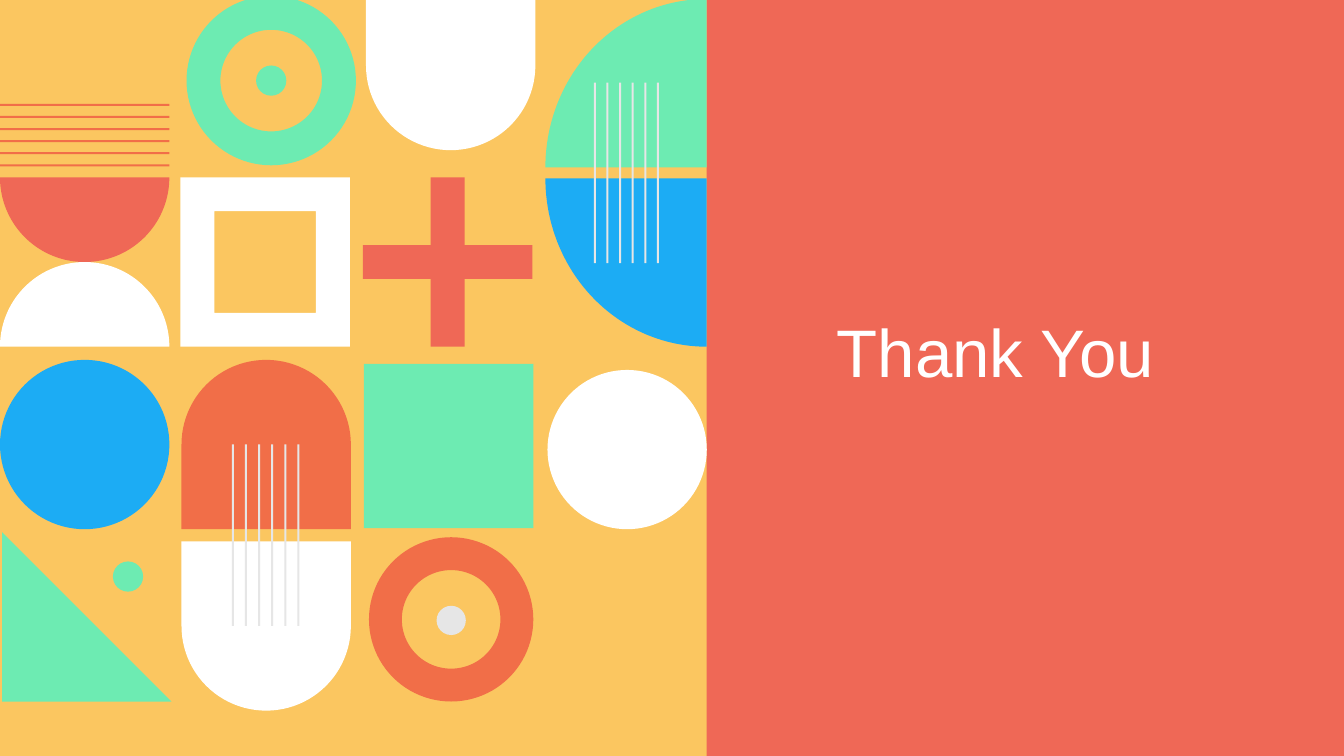
from dataclasses import dataclass
from math import cos, radians, sin

from pptx import Presentation
from pptx.dml.color import RGBColor
from pptx.enum import shapes, text
from pptx.util import Inches, Pt

HUES = {
    "coral": "EF6856",
    "sand": "FBC660",
    "white": "FFFFFF",
    "blue": "1CACF4",
    "orange": "F16E48",
    "mint": "6DEBB2",
    "grey": "E6E6E6",
}
KIND = shapes.MSO_SHAPE
SIDE = 1.68
THIN = 0.02


@dataclass
class Tile:
    kind: int
    left: float
    top: float
    width: float
    height: float
    hue: str
    adjust: tuple = ()


@dataclass
class Arc:
    """Part of an ellipse, closed through the corner points."""
    x: float
    y: float
    rx: float
    ry: float
    start: int
    end: int
    hue: str
    corners: tuple = ()


@dataclass
class Stripes:
    left: float
    top: float
    width: float
    height: float
    dx: float
    dy: float
    hue: str
    count: int = 6


def colour(name):
    return RGBColor.from_string(HUES[name])


def paint(shape, hue: str) -> None:
    shape.shadow.inherit = False
    shape.fill.solid()
    shape.fill.fore_color.rgb = colour(hue)
    shape.line.fill.background()


def draw_tile(slide, tile: Tile) -> None:
    box = map(Inches, (tile.left, tile.top, tile.width, tile.height))
    shape = slide.shapes.add_shape(tile.kind, *box)
    for i, value in enumerate(tile.adjust):
        shape.adjustments[i] = value
    paint(shape, tile.hue)


def draw_arc(slide, arc: Arc) -> None:
    turns = [radians(a) for a in range(arc.start, arc.end + 1, 2)]
    points = [(arc.x + arc.rx * cos(t), arc.y + arc.ry * sin(t)) for t in turns]
    points += arc.corners
    first, *rest = [(Inches(x), Inches(y)) for x, y in points]
    outline = slide.shapes.build_freeform(*first)
    outline.add_line_segments(rest, close=True)
    paint(outline.convert_to_shape(), arc.hue)


def draw_stripes(slide, band: Stripes) -> None:
    for i in range(band.count):
        draw_tile(slide, Tile(KIND.RECTANGLE, band.left + i * band.dx,
                              band.top + i * band.dy, band.width, band.height, band.hue))


def draw_title(slide, words: str) -> None:
    box = slide.shapes.add_textbox(Inches(8.2), Inches(3.03), Inches(4.7), Inches(0.91))
    frame = box.text_frame
    frame.word_wrap = True
    frame.auto_size = text.MSO_AUTO_SIZE.SHAPE_TO_FIT_TEXT
    line = frame.paragraphs[0]
    line.text = words
    line.font.name = "Arial"
    line.font.size = Pt(48)
    line.font.color.rgb = colour("white")


DOME = KIND.ROUND_2_SAME_RECTANGLE
UP, DOWN = (0.5, 0), (0, 0.5)

PARTS = [
    # Backdrop
    Tile(KIND.RECTANGLE, 0, 0, 7.01, 7.5, "sand"),
    # First column
    Stripes(0, 1.03, SIDE, THIN, 0, 0.12, "orange"),
    Arc(0.84, 1.76, 0.84, 0.84, 0, 180, "coral"),
    Arc(0.84, 3.44, 0.84, 0.84, 180, 360, "white"),
    Tile(KIND.OVAL, 0, 3.57, SIDE, SIDE, "blue"),
    Tile(KIND.RIGHT_TRIANGLE, 0.02, 5.28, SIDE, SIDE, "mint"),
    Tile(KIND.OVAL, 1.12, 5.57, 0.3, 0.3, "mint"),
    # Second column
    Tile(KIND.DONUT, 1.85, -0.04, SIDE, SIDE, "mint", (0.2,)),
    Tile(KIND.OVAL, 2.54, 0.65, 0.3, 0.3, "mint"),
    Tile(KIND.FRAME, 1.79, 1.76, SIDE, SIDE, "white", (0.2,)),
    Tile(DOME, 1.8, 3.57, SIDE, SIDE, "orange", UP),
    Tile(DOME, 1.8, 5.37, SIDE, SIDE, "white", DOWN),
    Stripes(2.3, 4.41, THIN, 1.8, 0.13, 0, "grey"),
    # Third column
    Tile(DOME, 3.63, -0.19, SIDE, SIDE, "white", DOWN),
    Tile(KIND.CROSS, 3.6, 1.76, SIDE, SIDE, "coral", (0.4,)),
    Tile(KIND.RECTANGLE, 3.61, 3.61, SIDE, 1.63, "mint"),
    Tile(KIND.DONUT, 3.66, 5.33, 1.63, 1.63, "orange", (0.2,)),
    Tile(KIND.OVAL, 4.33, 6.01, 0.29, 0.29, "grey"),
    # Fourth column
    Arc(7.01, 1.66, 1.6, 1.67, 180, 270, "mint", ((7.01, 1.66),)),
    Arc(7.01, 1.77, 1.6, 1.67, 90, 180, "blue", ((7.01, 1.77),)),
    Stripes(5.89, 0.82, THIN, 1.79, 0.125, 0, "grey"),
    Tile(KIND.OVAL, 5.43, 3.67, 1.58, 1.58, "white"),
]
DRAW = {Tile: draw_tile, Arc: draw_arc, Stripes: draw_stripes}


def main() -> None:
    deck = Presentation()
    deck.slide_width, deck.slide_height = Inches(13.33), Inches(7.5)
    slide = deck.slides.add_slide(deck.slide_layouts[6])
    slide.background.fill.solid()
    slide.background.fill.fore_color.rgb = colour("coral")
    for part in PARTS:
        DRAW[type(part)](slide, part)
    draw_title(slide, "Thank You")
    deck.save("out.pptx")


if __name__ == "__main__":
    main()
